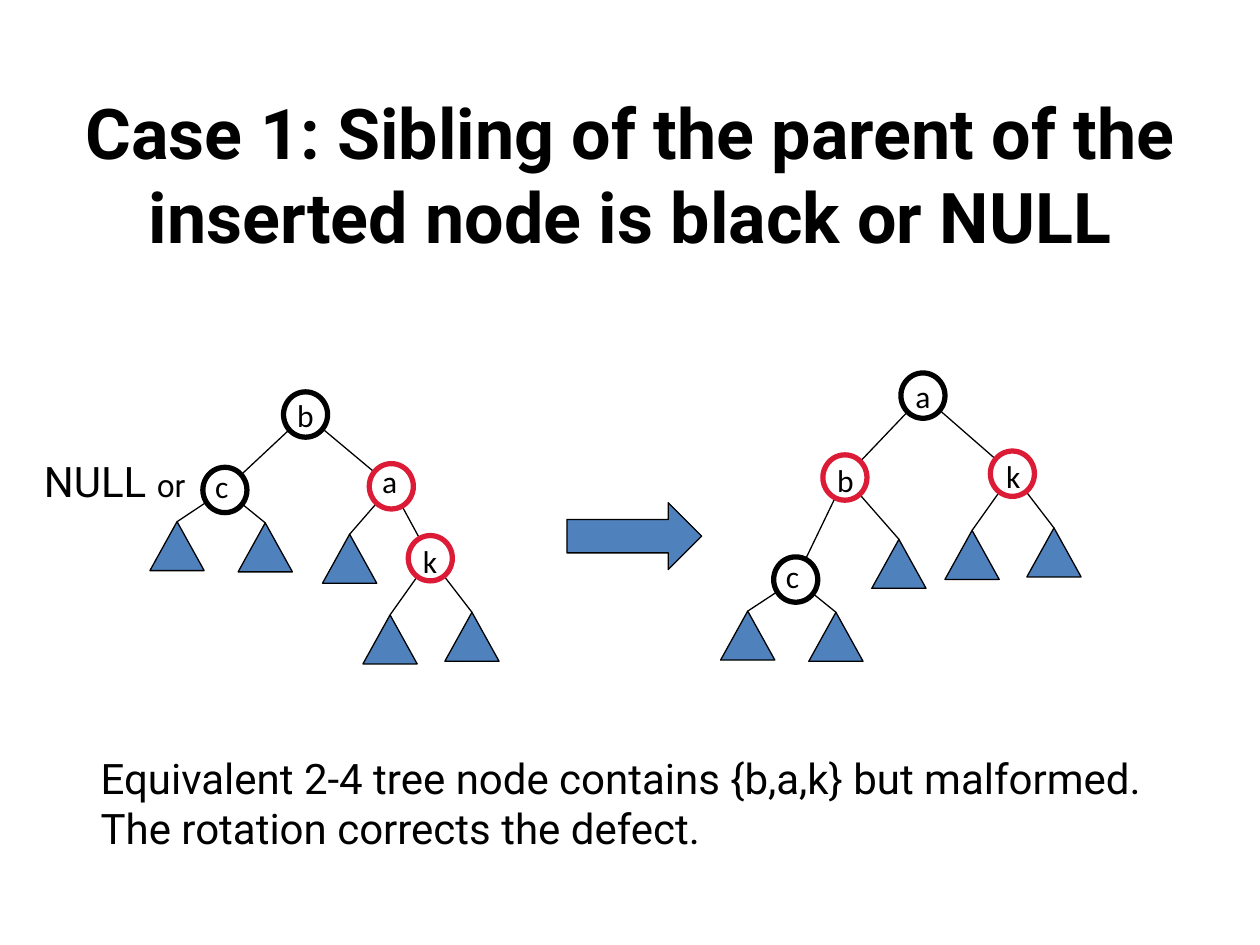
from dataclasses import dataclass

from lxml.etree import SubElement
from pptx import Presentation
from pptx.dml.color import RGBColor
from pptx.enum.shapes import MSO_CONNECTOR, MSO_SHAPE
from pptx.enum.text import MSO_ANCHOR, MSO_AUTO_SIZE, PP_ALIGN
from pptx.oxml.ns import qn
from pptx.util import Pt

BLACK, RED, WHITE, BLUE = "000000", "DC1C36", "FFFFFF", "4F81BD"
NODE_WIDTH, NODE_HEIGHT = 25.2, 25.9
LEAF_WIDTH, LEAF_HEIGHT = 31, 28
LABEL_WIDTH, LABEL_HEIGHT = 24, 29


@dataclass
class Node:
    """A tree node: centre, ring colour, child letters, leaf apexes, label shift."""
    x: float
    y: float
    ring: str
    children: str = ""
    leaves: tuple = ()
    label_shift: tuple = None


BEFORE = {
    "b": Node(174.6, 236.9, BLACK, "ca"),
    "c": Node(128.5, 280, BLACK, "", ((101.2, 298.1), (151.6, 298.8)), (-0.7, -2.2)),
    "a": Node(223.6, 277.9, RED, "k", ((199.8, 305.3),), (-0.4, -2.9)),
    "k": Node(245.9, 319, RED, "", ((222.9, 351.4), (269.7, 349.9)), (0.7, 1.4)),
}
AFTER = {
    "a": Node(527.4, 226.1, BLACK, "bk"),
    "b": Node(482.8, 272.9, RED, "c", ((513.7, 308.2),), (0.4, 1.4)),
    "c": Node(454.7, 331.2, BLACK, "", ((427.3, 349.2), (477.7, 349.9)), (-0.7, -2.2)),
    "k": Node(578.5, 270.7, RED, "", ((555.5, 303.1), (602.3, 301.7)), (1.4, 1.4)),
}


def color(hex_code):
    """Turn a hex string into a colour."""
    return RGBColor.from_string(hex_code)


def write(shape, *paragraphs, font="Roboto", bold=False, align=PP_ALIGN.LEFT,
          anchor=MSO_ANCHOR.TOP, wrap=False, fit=MSO_AUTO_SIZE.NONE):
    """Fill a shape with paragraphs, each a list of (text, size) runs."""
    frame = shape.text_frame
    frame.word_wrap, frame.auto_size, frame.vertical_anchor = wrap, fit, anchor
    for index, runs in enumerate(paragraphs):
        paragraph = frame.add_paragraph() if index else frame.paragraphs[0]
        paragraph.alignment = align
        for text, size in runs:
            run = paragraph.add_run()
            run.text = text
            run.font.size, run.font.name, run.font.bold = Pt(size), font, bold
            run.font.color.rgb = color(BLACK)


def add_text(slide, left, top, width, height, *paragraphs, **text_format):
    """Add a text box that grows with its text."""
    box = slide.shapes.add_textbox(Pt(left), Pt(top), Pt(width), Pt(height))
    write(box, *paragraphs, fit=MSO_AUTO_SIZE.SHAPE_TO_FIT_TEXT, **text_format)


def add_outlined(slide, preset, left, top, width, height, fill=BLUE, line=BLACK, weight=0.75):
    """Add a filled and outlined preset shape."""
    shape = slide.shapes.add_shape(preset, Pt(left), Pt(top), Pt(width), Pt(height))
    shape.shadow.inherit = False
    shape.fill.solid()
    shape.fill.fore_color.rgb = color(fill)
    shape.line.color.rgb = color(line)
    shape.line.width = Pt(weight)
    return shape


def add_edge(slide, parent, x, y):
    """Draw a line from the centre of a parent node to a point."""
    edge = slide.shapes.add_connector(
        MSO_CONNECTOR.STRAIGHT, Pt(parent.x), Pt(parent.y), Pt(x), Pt(y))
    edge.line.color.rgb = color(BLACK)
    edge.line.width = Pt(0.75)
    SubElement(edge._element.spPr, qn("a:effectLst"))
    return edge


def add_leaf(slide, parent, x, y):
    """Add a subtree triangle with its apex joined to the parent."""
    leaf = add_outlined(slide, MSO_SHAPE.FLOWCHART_EXTRACT,
                        x - LEAF_WIDTH / 2, y, LEAF_WIDTH, LEAF_HEIGHT)
    add_edge(slide, parent, x, y).end_connect(leaf, 0)


def add_node(slide, letter, node):
    """Add a ringed node with its letter."""
    circle = add_outlined(slide, MSO_SHAPE.OVAL, node.x - NODE_WIDTH / 2,
                          node.y - NODE_HEIGHT / 2, NODE_WIDTH, NODE_HEIGHT,
                          fill=WHITE, line=node.ring, weight=3)
    label = [(letter, 18)]
    if node.label_shift is None:
        write(circle, label, font="Calibri", align=PP_ALIGN.CENTER, anchor=MSO_ANCHOR.MIDDLE)
    else:
        shift_x, shift_y = node.label_shift
        add_text(slide, node.x + shift_x - LABEL_WIDTH / 2, node.y + shift_y - LABEL_HEIGHT / 2,
                 LABEL_WIDTH, LABEL_HEIGHT, label, font="Calibri")


def add_tree(slide, tree):
    """Draw the leaves and edges of a tree, then its nodes on top."""
    for node in tree.values():
        for x, y in node.leaves:
            add_leaf(slide, node, x, y)
        for child in node.children:
            add_edge(slide, node, tree[child].x, tree[child].y)
    for letter, node in tree.items():
        add_node(slide, letter, node)


def add_title(slide, text):
    """Place and format the slide title."""
    title = slide.shapes.title
    title.left, title.top, title.width, title.height = Pt(36), Pt(54), Pt(648), Pt(90)
    write(title, [(text, 40)], bold=True, align=PP_ALIGN.CENTER,
          anchor=MSO_ANCHOR.MIDDLE, wrap=True)


def main():
    """Build the rotation slide."""
    deck = Presentation()
    deck.slide_width, deck.slide_height = Pt(720), Pt(540)
    slide = deck.slides.add_slide(deck.slide_layouts[5])
    add_title(slide, "Case 1: Sibling of the parent of the inserted node is black or NULL")
    add_tree(slide, BEFORE)
    add_outlined(slide, MSO_SHAPE.RIGHT_ARROW, 324, 287.3, 77, 38.2)
    add_tree(slide, AFTER)
    add_text(slide, 50.4, 426.2, 625, 65.5,
             [("Equivalent 2-4 tree node contains {b,a,k} but malformed.", 24)],
             [("The rotation corrects the defect.", 24)])
    add_text(slide, 18, 257, 98, 36, [("NULL ", 24), ("or", 18)])
    deck.save("out.pptx")


if __name__ == "__main__":
    main()
